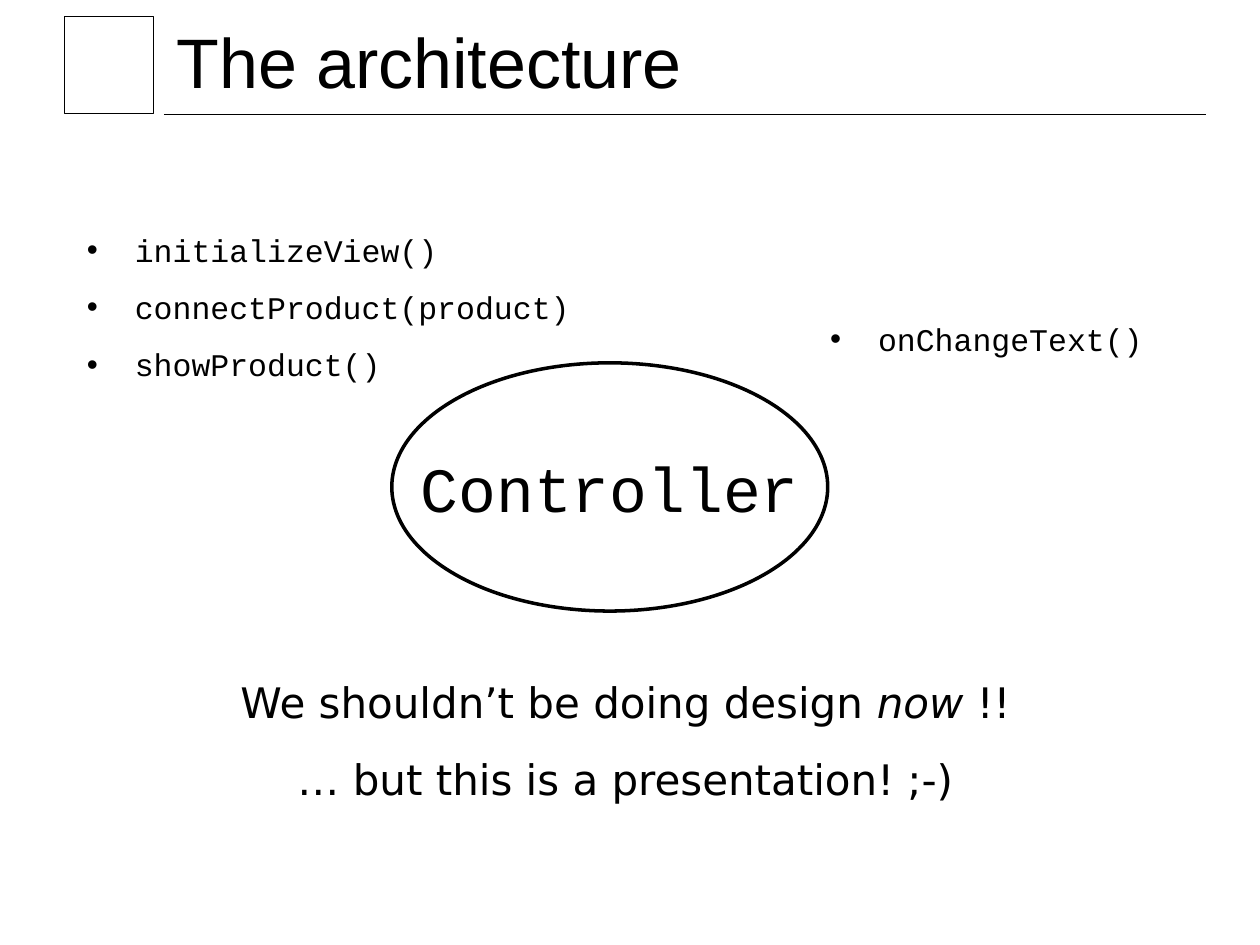
from lxml.etree import SubElement
from pptx import Presentation
from pptx.dml.color import RGBColor
from pptx.enum.shapes import MSO_CONNECTOR, MSO_SHAPE
from pptx.enum.text import MSO_ANCHOR, MSO_AUTO_SIZE, PP_ALIGN
from pptx.oxml.ns import qn
from pptx.util import Inches, Pt

COLORS = {"ink": "000000", "paper": "FFFFFF"}
INK = RGBColor.from_string(COLORS["ink"])
PAPER = RGBColor.from_string(COLORS["paper"])


def add_run(paragraph, text, font_name, size, italic=False):
    run = paragraph.add_run()
    run.text = text
    run.font.name = font_name
    run.font.size = Pt(size)
    run.font.italic = italic
    run.font.color.rgb = INK


def fill_method_list(text_frame, methods):
    text_frame.word_wrap = True
    text_frame.auto_size = MSO_AUTO_SIZE.NONE
    for index, method in enumerate(methods):
        paragraph = text_frame.add_paragraph() if index else text_frame.paragraphs[0]
        paragraph.space_before = Pt(11.2 if index else 0)
        properties = paragraph._p.get_or_add_pPr()
        properties.set("marL", str(Inches(0.38)))
        properties.set("indent", str(-Inches(0.38)))
        bullet_color = SubElement(properties, qn("a:buClr"))
        SubElement(bullet_color, qn("a:srgbClr"), val=COLORS["ink"])
        SubElement(properties, qn("a:buFont"), typeface="Arial")
        SubElement(properties, qn("a:buChar"), char="•")
        add_run(paragraph, method, "Courier New", 18)


presentation = Presentation()
presentation.slide_width = Inches(10)
presentation.slide_height = Inches(7.5)
slide = presentation.slides.add_slide(presentation.slide_layouts[1])
shapes = slide.shapes

# Title
title = shapes.title
title.left, title.top = Inches(1.3), Inches(0.21)
title.width, title.height = Inches(8.27), Inches(0.54)
title.text_frame.auto_size = MSO_AUTO_SIZE.NONE
title.text_frame.vertical_anchor = MSO_ANCHOR.MIDDLE
title_paragraph = title.text_frame.paragraphs[0]
title_paragraph.alignment = PP_ALIGN.LEFT
add_run(title_paragraph, "The architecture", "Arial", 40)

# Header frame and rule
frame = shapes.add_shape(MSO_SHAPE.RECTANGLE, Inches(0.51), Inches(0.13), Inches(0.71), Inches(0.77))
frame.shadow.inherit = False
frame.fill.background()
frame.line.color.rgb = INK
frame.line.width = Pt(0.25)

rule = shapes.add_connector(MSO_CONNECTOR.STRAIGHT, Inches(1.3), Inches(0.91), Inches(9.57), Inches(0.91))
rule.line.color.rgb = INK
rule.line.width = Pt(0.75)
SubElement(rule._element.spPr, qn("a:effectLst"))

# Controller
controller = shapes.add_shape(MSO_SHAPE.OVAL, Inches(3.11), Inches(2.88), Inches(3.46), Inches(1.97))
controller.shadow.inherit = False
controller.fill.solid()
controller.fill.fore_color.rgb = PAPER
controller.line.color.rgb = INK
controller.line.width = Pt(2)
controller.text_frame.word_wrap = False
controller.text_frame.vertical_anchor = MSO_ANCHOR.MIDDLE
controller_paragraph = controller.text_frame.paragraphs[0]
controller_paragraph.alignment = PP_ALIGN.CENTER
add_run(controller_paragraph, "Controller", "Courier New", 36)

# Methods on either side of the controller
view_methods = slide.placeholders[1]
view_methods.left, view_methods.top = Inches(0.59), Inches(1.78)
view_methods.width, view_methods.height = Inches(4.25), Inches(1.77)
fill_method_list(view_methods.text_frame, ["initializeView()", "connectProduct(product)", "showProduct()"])

event_methods = shapes.add_textbox(Inches(6.49), Inches(2.49), Inches(2.99), Inches(0.4))
fill_method_list(event_methods.text_frame, ["onChangeText()"])

# Closing remark
remark = shapes.add_textbox(Inches(0.83), Inches(5.32), Inches(8.27), Inches(1.11))
remark.text_frame.word_wrap = True
remark_lines = [
    [("We shouldn’t be doing design ", False), ("now", True), (" !!", False)],
    [("… but this is a presentation! ;-)", False)],
]
for index, line in enumerate(remark_lines):
    paragraph = remark.text_frame.add_paragraph() if index else remark.text_frame.paragraphs[0]
    paragraph.alignment = PP_ALIGN.CENTER
    paragraph.space_before = Pt(15 if index else 0)
    for text, italic in line:
        add_run(paragraph, text, "DejaVu Sans", 24, italic)

presentation.save("out.pptx")
